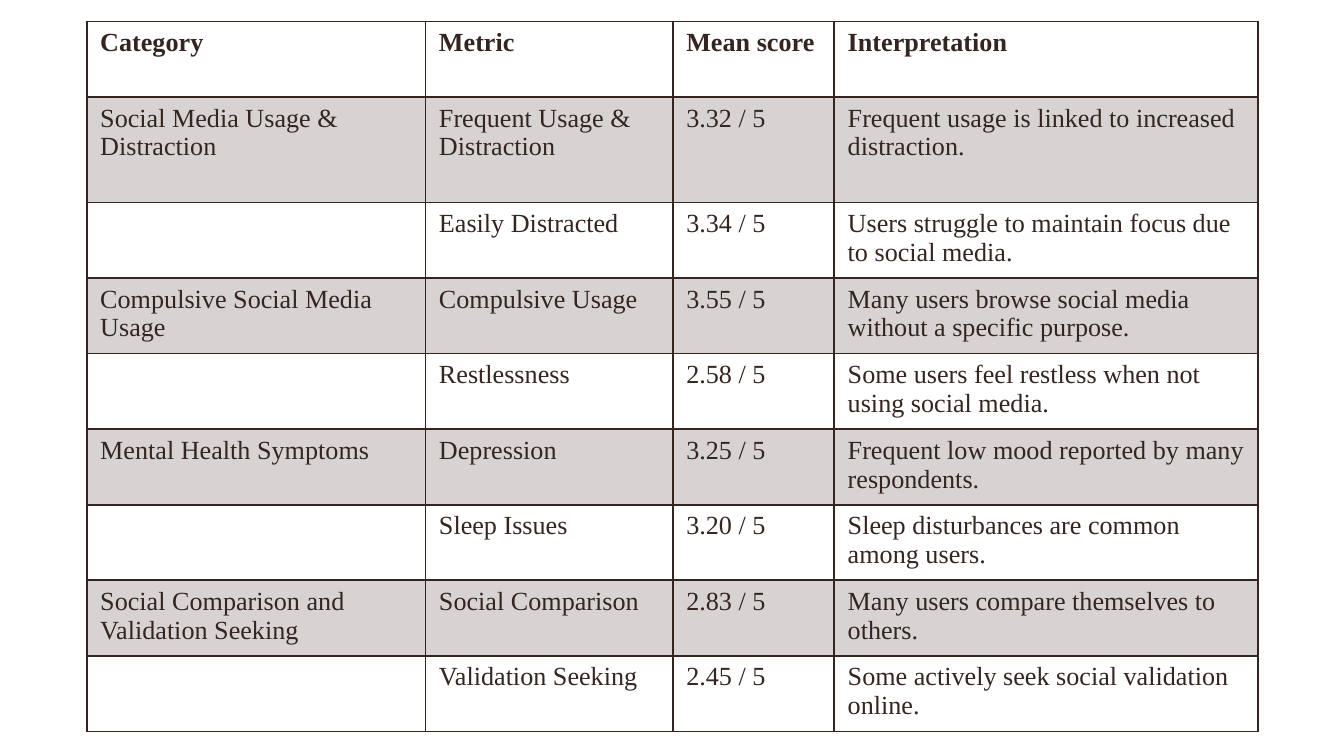
from lxml import etree
from pptx import Presentation
from pptx.dml.color import RGBColor
from pptx.oxml.ns import qn
from pptx.util import Pt

BLANK_LAYOUT = 6
BORDER_SIDES = ("a:lnL", "a:lnR", "a:lnT", "a:lnB")

COLUMN_WIDTHS = (181.5, 132.5, 86.5, 227)
ROW_HEIGHTS = (40.5, 56.5) + (40.5,) * 7

SURVEY_ROWS = [
    ("Category", "Metric", "Mean score", "Interpretation"),
    ("Social Media Usage & Distraction", "Frequent Usage & Distraction", "3.32 / 5",
     "Frequent usage is linked to increased distraction."),
    ("", "Easily Distracted", "3.34 / 5",
     "Users struggle to maintain focus due to social media."),
    ("Compulsive Social Media Usage", "Compulsive Usage", "3.55 / 5",
     "Many users browse social media without a specific purpose."),
    ("", "Restlessness", "2.58 / 5",
     "Some users feel restless when not using social media."),
    ("Mental Health Symptoms", "Depression", "3.25 / 5",
     "Frequent low mood reported by many respondents."),
    ("", "Sleep Issues", "3.20 / 5", "Sleep disturbances are common among users."),
    ("Social Comparison and Validation Seeking", "Social Comparison", "2.83 / 5",
     "Many users compare themselves to others."),
    ("", "Validation Seeking", "2.45 / 5",
     "Some actively seek social validation online."),
]


def rgb(hex_color):
    return RGBColor.from_string(hex_color)


class SlideBuilder:
    ink = "342520"
    band_opacity = 20
    border_width = 1
    text_format = {"name": "Times New Roman", "size": Pt(14)}

    def __init__(self, slide):
        self.slide = slide

    def table(self, left, top, widths, heights, rows):
        """Add a bordered table with a bold header and tinted odd rows."""
        frame = self.slide.shapes.add_table(
            len(rows), len(widths), Pt(left), Pt(top), Pt(sum(widths)), Pt(sum(heights)))
        table = frame.table
        table.horz_banding = False
        table.first_row = False
        for column, width in zip(table.columns, widths):
            column.width = Pt(width)
        for row_index, (row, height, texts) in enumerate(zip(table.rows, heights, rows)):
            row.height = Pt(height)
            for cell, text in zip(row.cells, texts):
                self.cell_text(cell, text, bold=row_index == 0)
                self.cell_borders(cell)
                self.cell_fill(cell, tinted=row_index % 2 == 1)

    def cell_text(self, cell, text, bold):
        cell.text = text
        font = cell.text_frame.paragraphs[0].font
        for run in cell.text_frame.paragraphs[0].runs:
            font = run.font
        for attribute, value in {**self.text_format, "bold": bold}.items():
            setattr(font, attribute, value)
        font.color.rgb = rgb(self.ink)

    def cell_borders(self, cell):
        properties = cell._tc.get_or_add_tcPr()
        for side in BORDER_SIDES:
            line = etree.SubElement(properties, qn(side), w=str(Pt(self.border_width)))
            fill = etree.SubElement(line, qn("a:solidFill"))
            etree.SubElement(fill, qn("a:srgbClr"), val=self.ink)

    def cell_fill(self, cell, tinted):
        if not tinted:
            cell.fill.background()
            return
        cell.fill.solid()
        cell.fill.fore_color.rgb = rgb(self.ink)
        color = cell._tc.tcPr.find(f"{qn('a:solidFill')}/{qn('a:srgbClr')}")
        etree.SubElement(color, qn("a:alpha"), val=str(self.band_opacity * 1000))


def main():
    presentation = Presentation()
    presentation.slide_width = Pt(720)
    presentation.slide_height = Pt(405)
    slide = presentation.slides.add_slide(presentation.slide_layouts[BLANK_LAYOUT])
    SlideBuilder(slide).table(46.5, 11.5, COLUMN_WIDTHS, ROW_HEIGHTS, SURVEY_ROWS)
    presentation.save("out.pptx")


if __name__ == "__main__":
    main()
